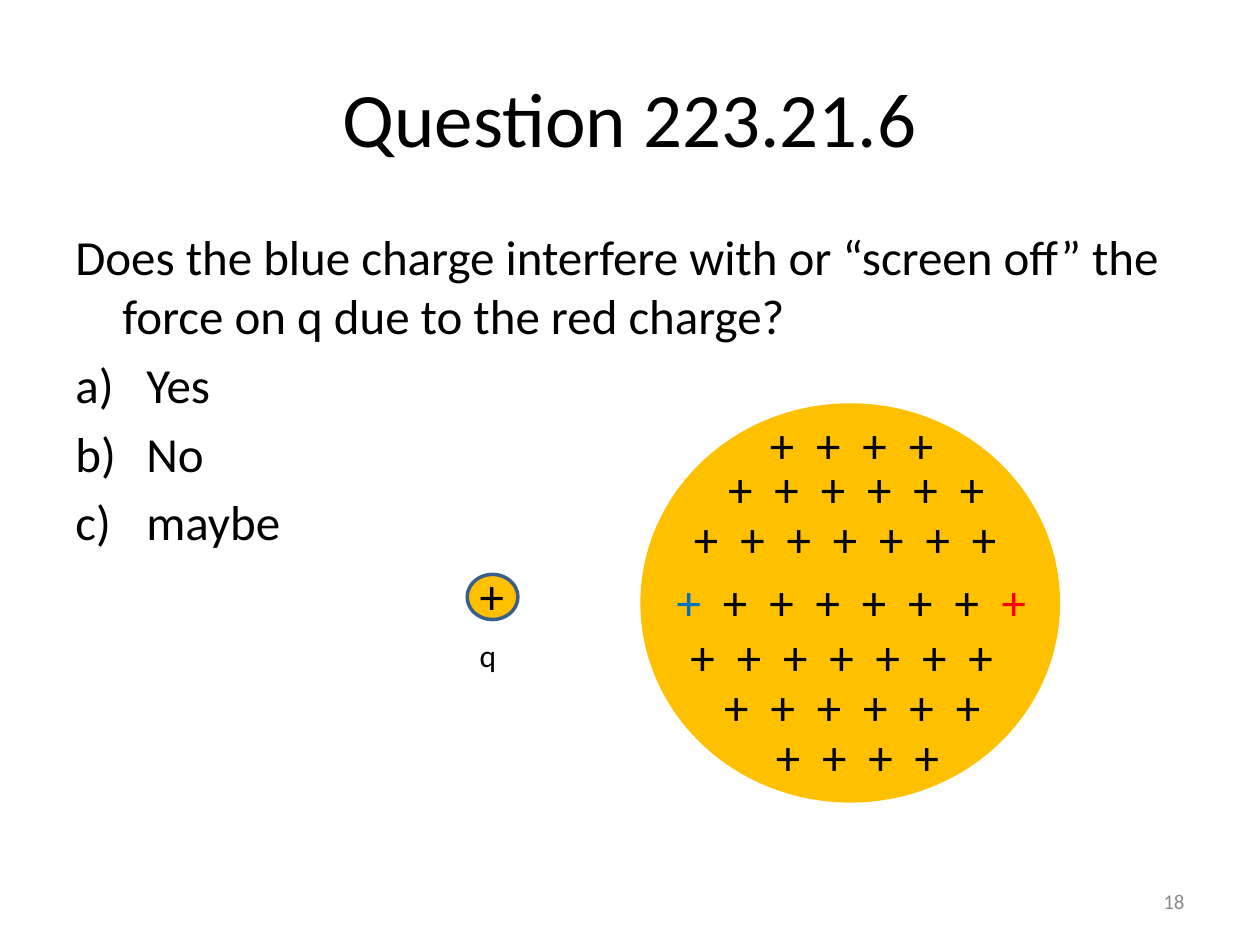
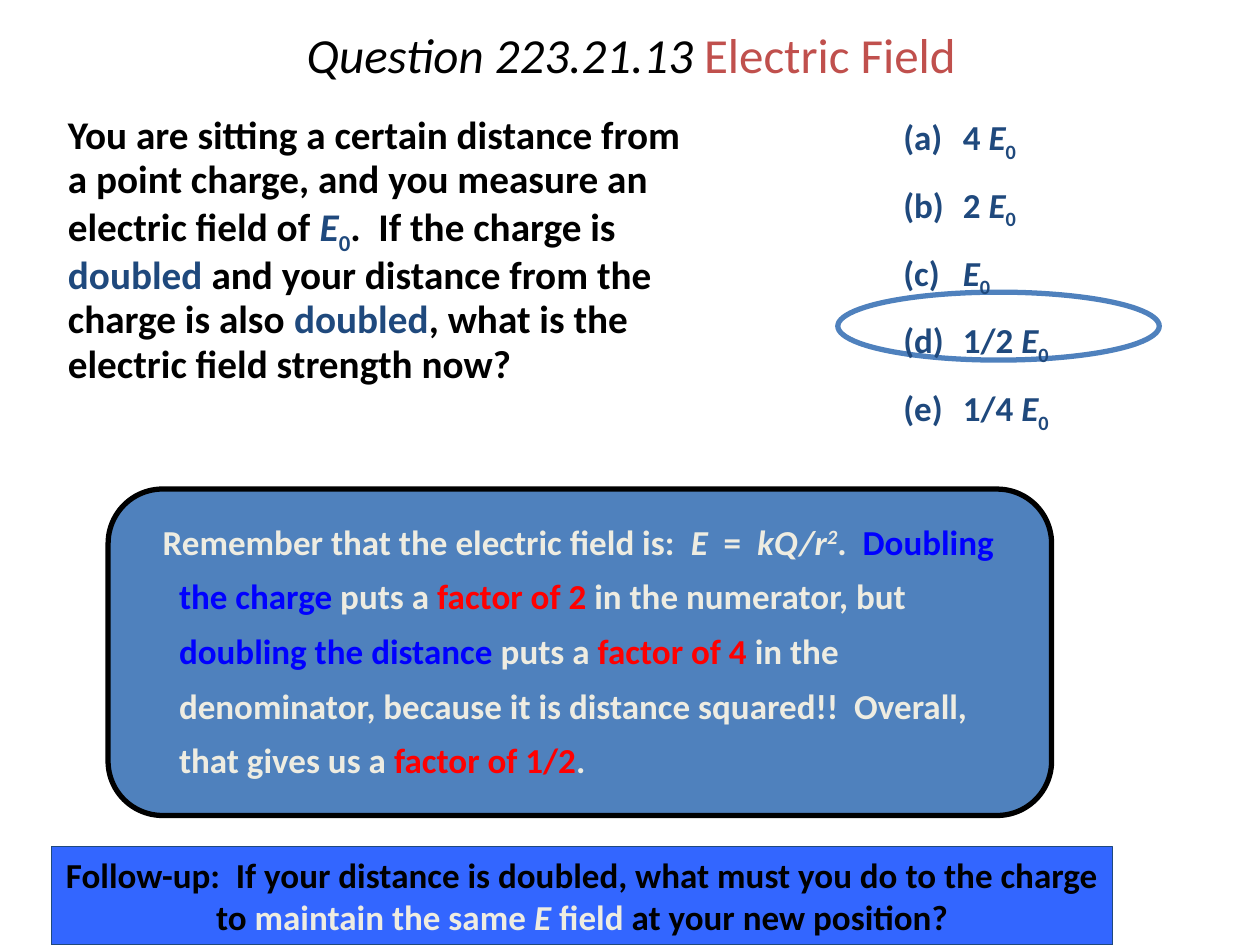
"""Build two physics question slides on charges and electric fields."""
from dataclasses import dataclass

from lxml.etree import SubElement
from pptx import Presentation
from pptx.dml.color import RGBColor
from pptx.enum.shapes import MSO_SHAPE as Shape
from pptx.enum.text import MSO_ANCHOR as Anchor, PP_ALIGN as Align
from pptx.oxml.ns import qn
from pptx.util import Cm, Pt


@dataclass(frozen=True)
class Theme:
    """Colours, font and type sizes of the slides."""
    font: str = "Calibri"
    black: str = "000000"
    gray: str = "8C8C8C"
    gold: str = "FFC000"
    gold_edge: str = "3A5F8C"
    sky: str = "0070C0"
    red: str = "FF0000"
    blue: str = "0000FF"
    navy: str = "1F497D"
    steel: str = "4F81BD"
    royal: str = "3366FF"
    brick: str = "C0504D"
    cream: str = "EEECE1"
    title: float = 44
    body: float = 28
    prompt: float = 22.4
    answer: float = 20
    label: float = 18
    number: float = 12
    charge_tracking: float = 3.16


THEME = Theme()


def write(paragraph, text, size=THEME.body, color=THEME.black, bold=False, italic=False,
          baseline=0, tracking=0):
    """Add one formatted run to a paragraph."""
    run = paragraph.add_run()
    run.text = text
    font = run.font
    font.name, font.size = THEME.font, Pt(size)
    font.bold, font.italic = bold, italic
    font.color.rgb = RGBColor.from_string(color)
    props = run._r.get_or_add_rPr()
    if baseline:
        props.set("baseline", str(baseline * 1000))
    if tracking:
        props.set("spc", str(round(tracking * 100)))


class Deck:
    """Hold the theme and the current slide, and draw its elements."""

    def __init__(self, theme):
        """Open an empty presentation of 4:3 slides."""
        self.theme = theme
        self.show = Presentation()
        self.show.slide_width, self.show.slide_height = Cm(25.4), Cm(19.05)
        self.slide = None

    def new_slide(self):
        """Start a blank slide."""
        self.slide = self.show.slides.add_slide(self.show.slide_layouts[6])

    def paragraph(self, frame, runs, align=Align.LEFT, left=0, first=0, line=None,
                  before=0, numbered=False, **style):
        """Fill the next paragraph of a frame with (text, format) runs."""
        fresh = len(frame.paragraphs) == 1 and not frame.paragraphs[0].runs
        para = frame.paragraphs[0] if fresh else frame.add_paragraph()
        props = para._p.get_or_add_pPr()
        props.set("marL", str(Cm(left)))
        props.set("indent", str(Cm(first)))
        if numbered:
            SubElement(props, qn("a:buAutoNum"), type="alphaLcParenR")
        para.alignment = align
        if line:
            para.line_spacing = line
        para.space_before = Pt(0 if fresh else before)
        for text, extra in runs:
            write(para, text, **(style | extra))

    def text(self, box, paragraphs, anchor=Anchor.TOP, **style):
        """Add a wrapping text box with one or more paragraphs."""
        frame = self.slide.shapes.add_textbox(*map(Cm, box)).text_frame
        frame.word_wrap = True
        frame.vertical_anchor = anchor
        for runs in paragraphs:
            self.paragraph(frame, runs, **style)
        return frame

    def title(self, box, runs, **style):
        """Add a centred slide title."""
        self.text(box, [runs], anchor=Anchor.MIDDLE, align=Align.CENTER, **style)

    def shape(self, kind, box, fill=None, edge=None, weight=1):
        """Add a preset shape without shadow."""
        shape = self.slide.shapes.add_shape(kind, *map(Cm, box))
        shape.shadow.inherit = False
        if fill:
            shape.fill.solid()
            shape.fill.fore_color.rgb = RGBColor.from_string(fill)
        else:
            shape.fill.background()
        if edge:
            shape.line.color.rgb = RGBColor.from_string(edge)
            shape.line.width = Pt(weight)
        else:
            shape.line.fill.background()
        return shape

    def charges(self, left, top, count, first=THEME.black, last=THEME.black):
        """Add a row of evenly spaced plus signs, with the end colours given."""
        runs = [("+", {"color": first})]
        if count > 1:
            runs += [(" +" * (count - 2), {}), (" +", {"color": last})]
        self.text((left, top, count * 0.94 + 0.8, 1.45), [runs],
                  tracking=self.theme.charge_tracking)


def screening_question(deck):
    """Draw the question on screening between charges."""
    t = deck.theme
    deck.new_slide()
    deck.shape(Shape.OVAL, (9.42, 11.58, 1.02, 0.91), t.gold, t.gold_edge, 2)
    deck.title((1.27, 0.76, 22.86, 3.18), [("Question 223.21.6", {})], size=t.title)
    question = "Does the blue charge interfere with or “screen off” the force on q due to the red charge?"
    frame = deck.text((1.27, 4.45, 22.86, 4.78), [[(question, {})]], left=0.95, first=-0.95)
    for choice in ("Yes", "No", "maybe"):
        deck.paragraph(frame, [(choice, {})], left=1.43, first=-1.43, before=5.6, numbered=True)
    deck.text((18.2, 17.66, 5.93, 1.01), [[("18", {})]], anchor=Anchor.MIDDLE,
              align=Align.RIGHT, size=t.number, color=t.gray)
    deck.charges(9.42, 11.28, 1)
    deck.shape(Shape.OVAL, (12.91, 8.13, 8.46, 8.05), t.gold)
    deck.charges(13.39, 11.4, 8, first=t.sky, last=t.red)
    for left, top, count in ((13.74, 10.13, 7), (13.67, 12.5, 7), (14.35, 13.51, 6),
                             (14.43, 9.12, 6), (15.27, 8.23, 4), (15.39, 14.53, 4)):
        deck.charges(left, top, count)
    deck.text((9.42, 12.7, 0.95, 1.01), [[("q", {})]], size=t.label)


def field_question(deck):
    """Draw the question on doubling the charge and the distance."""
    t = deck.theme
    italic, below = {"italic": True}, {"baseline": -25}
    navy, red, blue, cream = ({"color": c} for c in (t.navy, t.red, t.blue, t.cream))
    deck.new_slide()
    deck.shape(Shape.OVAL, (16.89, 5.89, 6.48, 1.37), edge=t.steel, weight=3)
    deck.shape(Shape.ROUNDED_RECTANGLE, (2.18, 9.86, 19.02, 6.58), t.steel, t.black, 3)
    reminder = [
        ("Remember that the electric field is:  ", {}), ("E", italic), ("  =  ", {}),
        ("kQ/r", italic), ("2", italic | {"baseline": 30}), (".  ", {}),
        ("Doubling the charge", blue), (" puts a ", {}), ("factor of 2", red),
        (" in the numerator, but ", {}), ("doubling the distance", blue), (" puts a ", {}),
        ("factor of 4", red),
        (" in the denominator, because it is distance squared!!  Overall, that gives us a ", {}),
        ("factor of 1/2", red), (".", {}),
    ]
    deck.text((2.57, 10.11, 18.15, 5.77), [reminder], left=0.79, first=-0.33, line=1.3,
              size=t.answer, color=t.cream, bold=True)
    answers = (("(a)", "4 "), ("(b)", "2 "), ("(c)", ""), ("(d)", "1/2 "), ("(e)", "1/4 "))
    deck.text((17.96, 2.01, 5.79, 6.93),
              [[(f"{letter}\t{factor}", {}), ("E", italic), ("0", below)]
               for letter, factor in answers],
              left=1.2, first=-1.2, line=1.2, before=6, size=t.answer, color=t.navy, bold=True)
    deck.title((2.59, 0, 20.27, 2.34),
               [("Question 223.21.13 ", italic), ("Electric Field", {"color": t.brick})], line=0.9)
    prompt = [
        ("You are sitting a certain distance from a point charge, "
         "and you measure an electric field of ", {}),
        ("E", navy | italic), ("0", navy | below), (".  If the charge is ", {}),
        ("doubled", navy), (" and your distance from the charge is also ", {}),
        ("doubled", navy), (", what is the electric field strength now?", {}),
    ]
    deck.text((0, 2.16, 14.5, 6.73), [prompt], left=1.12, line=0.95, size=t.prompt, bold=True)
    follow_up = deck.shape(Shape.RECTANGLE, (1.04, 17.07, 21.39, 1.98), t.royal, t.navy, 0.75)
    deck.paragraph(follow_up.text_frame, [
        ("Follow-up:  If your distance is doubled, what must you do to the charge to ", {}),
        ("maintain the same ", cream), ("E", cream | italic), (" field", cream),
        (" at your new position?", {}),
    ], align=Align.CENTER, size=t.answer, bold=True)


def main():
    """Build and save the slides."""
    deck = Deck(THEME)
    screening_question(deck)
    field_question(deck)
    deck.show.save("out.pptx")


if __name__ == "__main__":
    main()
